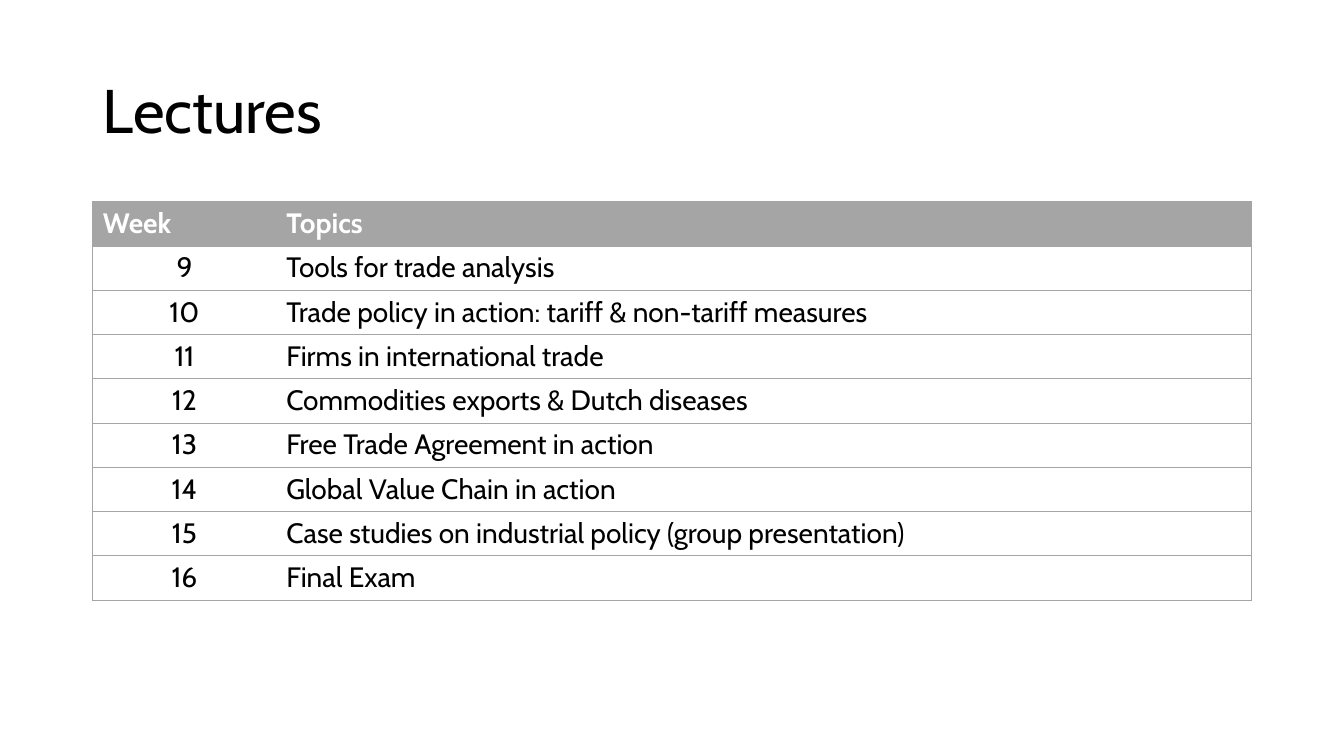
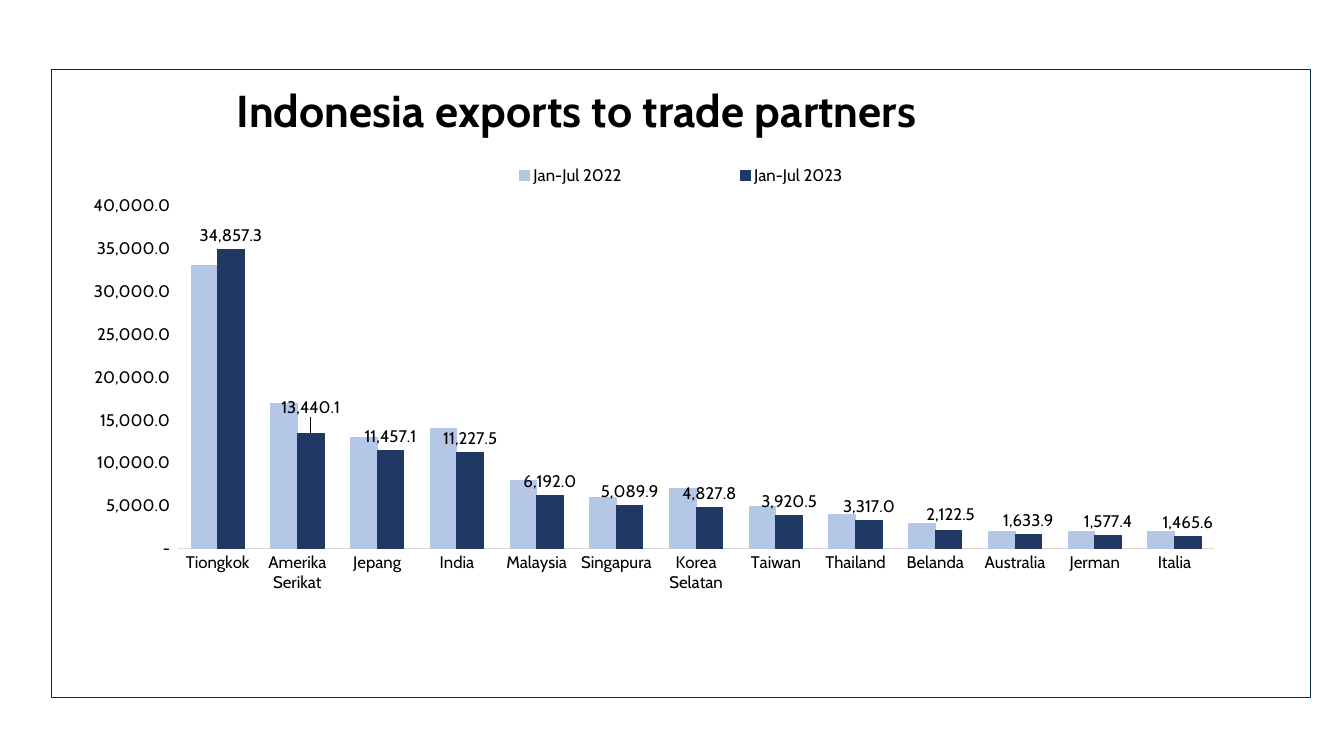
from lxml.etree import SubElement
from pptx import Presentation
from pptx.chart.data import CategoryChartData
from pptx.dml.color import RGBColor
from pptx.enum.chart import (XL_CHART_TYPE, XL_LABEL_POSITION,
                             XL_LEGEND_POSITION, XL_TICK_MARK)
from pptx.enum.text import MSO_ANCHOR, PP_ALIGN
from pptx.oxml import parse_xml
from pptx.oxml.ns import nsdecls, qn
from pptx.util import Inches, Pt

# Shared look
FONT = "Cabin"
BLACK, WHITE, GREY = "000000", "FFFFFF", "A5A5A5"
PALE_BLUE, NAVY, FRAME, AXIS = "B4C7E7", "203864", "0A2C4B", "D9D9D9"
TITLE = {"size": Pt(44), "bold": False}
HEADER = {"size": Pt(20), "bold": True}
BODY = {"size": Pt(20), "bold": False}
CHART_TITLE = {"size": Pt(32), "bold": True}
CHART_TEXT = {"size": Pt(12), "bold": False}
NUMBER_FORMAT = '_-* #,##0.0_-;\\-* #,##0.0_-;_-* "-"_-;_-'

TOPICS = [
    ("9", "Tools for trade analysis"),
    ("10", "Trade policy in action: tariff & non-tariff measures"),
    ("11", "Firms in international trade"),
    ("12", "Commodities exports & Dutch diseases"),
    ("13", "Free Trade Agreement in action"),
    ("14", "Global Value Chain in action"),
    ("15", "Case studies on industrial policy (group presentation)"),
    ("16", "Final Exam"),
]
EXPORTS = [
    ("Tiongkok", 33000, 34857.3),
    ("Amerika Serikat", 17000, 13440.1),
    ("Jepang", 13000, 11457.1),
    ("India", 14000, 11227.5),
    ("Malaysia", 8000, 6192.0),
    ("Singapura", 6000, 5089.9),
    ("Korea Selatan", 7000, 4827.8),
    ("Taiwan", 5000, 3920.5),
    ("Thailand", 4000, 3317.0),
    ("Belanda", 3000, 2122.5),
    ("Australia", 2000, 1633.9),
    ("Jerman", 2000, 1577.4),
    ("Italia", 2000, 1465.6),
]
# Labels moved off their default place, in inches
LABEL_SHIFTS = {"Amerika Serikat": (0, -0.12), "Belanda": (0.02, -0.02)}


def rgb(color):
    return RGBColor.from_string(color)


def style(font, values, color=BLACK):
    for name, value in {"name": FONT, **values}.items():
        setattr(font, name, value)
    font.color.rgb = rgb(color)


def add_title(s, text, left, top, width, height):
    sp = s.shapes.title
    sp.left, sp.top = Inches(left), Inches(top)
    sp.width, sp.height = Inches(width), Inches(height)
    tf = sp.text_frame
    tf.vertical_anchor = MSO_ANCHOR.MIDDLE
    p = tf.paragraphs[0]
    p.alignment, p.line_spacing = PP_ALIGN.LEFT, 0.9
    r = p.add_run()
    r.text = text
    style(r.font, TITLE)


# Table
def set_borders(cell, sides):
    """Rule the given sides in grey and leave the others open."""
    tcPr = cell._tc.get_or_add_tcPr()
    for i, side in enumerate("LRTB"):
        ruled = side in sides
        fill = (f'<a:solidFill><a:srgbClr val="{GREY}"/></a:solidFill>'
                if ruled else "<a:noFill/>")
        tcPr.insert(i, parse_xml(
            f'<a:ln{side} {nsdecls("a")} w="{Pt(0.5)}">{fill}</a:ln{side}>'))


def add_topics_table(s, left, top, width, row_height):
    rows = [("Week", "Topics")] + TOPICS
    table = s.shapes.add_table(
        len(rows), 2, Inches(left), Inches(top), Inches(width),
        Inches(row_height * len(rows))).table
    table.horz_banding = False
    week_width = 1.82
    table.columns[0].width = Inches(week_width)
    table.columns[1].width = Inches(width - week_width)
    for i, row in enumerate(rows):
        header = i == 0
        for j, text in enumerate(row):
            cell = table.cell(i, j)
            cell.fill.solid()
            cell.fill.fore_color.rgb = rgb(GREY if header else WHITE)
            set_borders(cell, "TB" + "LR"[j])
            p = cell.text_frame.paragraphs[0]
            if j == 0 and not header:
                p.alignment = PP_ALIGN.CENTER
            r = p.add_run()
            r.text = text
            style(r.font, HEADER if header else BODY,
                  WHITE if header else BLACK)


# Chart
def set_layout(parent, size, box, after=None, target=None, mode="edge"):
    """Place a chart part by a box in inches within a chart of this size."""
    for old in parent.findall(qn("c:layout")):
        parent.remove(old)
    layout = parse_xml(f'<c:layout {nsdecls("c")}/>')
    manual = SubElement(layout, qn("c:manualLayout"))
    values = {"layoutTarget": target} if target else {}
    values.update(xMode=mode, yMode=mode)
    values.update(zip("xywh", (v / size[i % 2] for i, v in enumerate(box))))
    for name, value in values.items():
        SubElement(manual, qn(f"c:{name}")).set("val", str(value))
    if after:
        parent.find(qn(after)).addnext(layout)
    else:
        parent.insert(0, layout)


def format_axes(chart):
    for axis in (chart.category_axis, chart.value_axis):
        axis.has_major_gridlines = False
        axis.major_tick_mark = axis.minor_tick_mark = XL_TICK_MARK.NONE
        style(axis.tick_labels.font, CHART_TEXT)
    line = chart.category_axis.format.line
    line.color.rgb, line.width = rgb(AXIS), Pt(0.75)
    axis = chart.value_axis
    axis.format.line.fill.background()
    axis.minimum_scale, axis.maximum_scale, axis.major_unit = 0, 40000, 5000
    axis.tick_labels.number_format = NUMBER_FORMAT
    axis.tick_labels.number_format_is_linked = False


def format_labels(series, countries, size):
    labels = series.data_labels
    labels.show_value = True
    labels.position = XL_LABEL_POSITION.OUTSIDE_END
    labels.number_format = NUMBER_FORMAT
    labels.number_format_is_linked = False
    style(labels.font, CHART_TEXT)
    for country, shift in LABEL_SHIFTS.items():
        index = countries.index(country)
        label = series.points[index].data_label
        label.position = XL_LABEL_POSITION.OUTSIDE_END
        style(label.font, CHART_TEXT)
        dLbl = labels._element.find(f'{qn("c:dLbl")}[{qn("c:idx")}]'
                                    f'[{list(sorted(map(countries.index, LABEL_SHIFTS))).index(index) + 1}]')
        set_layout(dLbl, size, shift, "c:idx", mode="factor")


def add_exports_chart(s, left, top, width, height):
    size = (width, height)
    countries, year_2022, year_2023 = zip(*EXPORTS)
    data = CategoryChartData(number_format=NUMBER_FORMAT)
    data.categories = countries
    data.add_series("Jan-Jul 2022", year_2022)
    data.add_series("Jan-Jul 2023", year_2023)
    chart = s.shapes.add_chart(
        XL_CHART_TYPE.COLUMN_CLUSTERED, Inches(left), Inches(top),
        Inches(width), Inches(height), data).chart
    style(chart.font, CHART_TEXT)
    format_axes(chart)

    # Title and legend
    chart.has_title = True
    p = chart.chart_title.text_frame.paragraphs[0]
    r = p.add_run()
    r.text = "Indonesia exports to trade partners"
    style(r.font, CHART_TITLE)
    set_layout(chart.chart_title._element, size, (1.75, 0.02), "c:tx")
    chart.has_legend = True
    legend = chart.legend
    legend.position = XL_LEGEND_POSITION.TOP
    legend.include_in_layout = False
    style(legend.font, CHART_TEXT)
    set_layout(legend._element, size, (3.52, 0.87, 5.45, 0.38),
               "c:legendPos")

    # Columns and their labels
    plot = chart.plots[0]
    plot.gap_width, plot.overlap, plot.vary_by_categories = 100, 0, False
    for series, color in zip(plot.series, (PALE_BLUE, NAVY)):
        series.format.fill.solid()
        series.format.fill.fore_color.rgb = rgb(color)
        series.format.line.color.rgb = rgb(color)
        series.format.line.width = Pt(0.75)
    format_labels(plot.series[1], countries, size)

    # Plot area and outer frame
    chart_element = chart._chartSpace.find(qn("c:chart"))
    set_layout(chart_element.find(qn("c:plotArea")), size,
               (1.25, 1.36, 10.29, 3.41), target="inner")
    chart_element.addnext(parse_xml(
        f'<c:spPr {nsdecls("c", "a")}><a:noFill/><a:ln w="{Pt(0.75)}">'
        f'<a:solidFill><a:srgbClr val="{FRAME}"/></a:solidFill></a:ln>'
        '</c:spPr>'))


def add_lectures_slide(prs):
    s = prs.slides.add_slide(prs.slide_layouts[5])
    add_title(s, "Lectures", 0.92, 0.4, 11.5, 1.45)
    add_topics_table(s, 0.92, 2, 11.49, 0.41)


def add_exports_slide(prs):
    s = prs.slides.add_slide(prs.slide_layouts[6])
    add_exports_chart(s, 0.51, 0.68, 12.49, 6.25)


def main():
    prs = Presentation()
    prs.slide_width, prs.slide_height = Inches(13.33), Inches(7.5)
    add_lectures_slide(prs)
    add_exports_slide(prs)
    prs.save("out.pptx")


if __name__ == "__main__":
    main()
